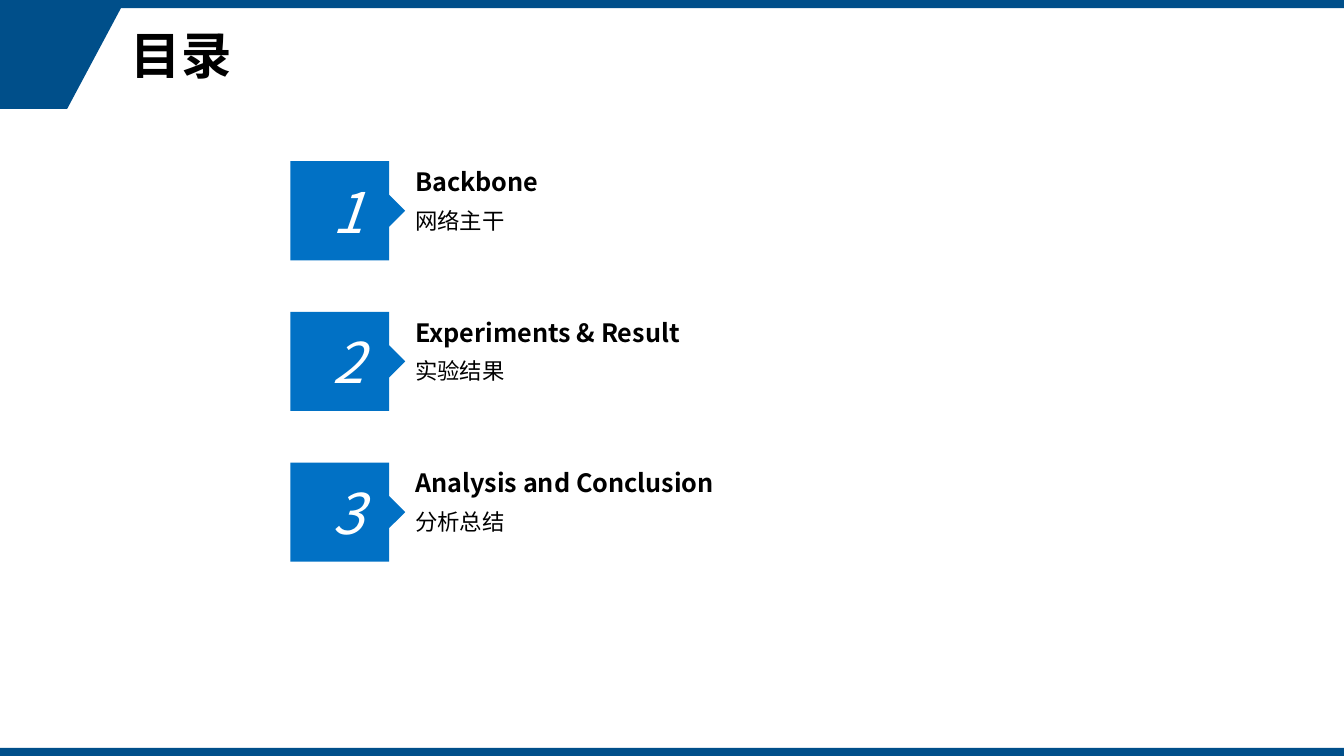
from dataclasses import dataclass

from lxml.etree import SubElement
from pptx import Presentation
from pptx.dml.color import RGBColor
from pptx.enum.shapes import MSO_SHAPE
from pptx.enum.text import MSO_ANCHOR, PP_ALIGN
from pptx.oxml.ns import qn
from pptx.util import Inches, Pt

COLORS = {"band": "004F8A", "marker": "0171C5", "ink": "000000", "paper": "FFFFFF"}
FONT = "Noto Sans CJK SC"

# Text formats
TITLE = {"size": Pt(36), "bold": True}
HEADING = {"size": Pt(18), "bold": True}
DETAIL = {"size": Pt(16)}
NUMBER = {"size": Pt(40), "italic": True}

# Layout in percent of the slide's width and height
BAND_HEIGHT = 1.07
MARKER_LEFT, MARKER_TOP = 21.6, 21.33
MARKER_WIDTH, MARKER_HEIGHT = 7.35, 13.1
ARROW_WIDTH, ARROW_HALF = 1.2, 2.13
TOPIC_PITCH = 19.93
TEXT_LEFT, TEXT_WIDTH = 30.15, 32.4
HEADING_HEIGHT, DETAIL_HEIGHT = 5.38, 4.93


@dataclass
class Topic:
    heading: str
    detail: str


TOPICS = [
    Topic("Backbone", "网络主干"),
    Topic("Experiments & Result", "实验结果"),
    Topic("Analysis and Conclusion", "分析总结"),
]

presentation = Presentation()
presentation.slide_width, presentation.slide_height = Inches(13.33), Inches(7.5)
slide = presentation.slides.add_slide(presentation.slide_layouts[6])


def across(percent: float) -> int:
    return round(presentation.slide_width * percent / 100)


def down(percent: float) -> int:
    return round(presentation.slide_height * percent / 100)


def paint(shape, color: str) -> None:
    shape.shadow.inherit = False
    shape.fill.solid()
    shape.fill.fore_color.rgb = RGBColor.from_string(COLORS[color])
    shape.line.fill.background()


def add_outline(points: list[tuple[float, float]], color: str):
    corners = [(across(x), down(y)) for x, y in points]
    builder = slide.shapes.build_freeform(*corners[0])
    builder.add_line_segments(corners[1:], close=True)
    shape = builder.convert_to_shape()
    paint(shape, color)
    return shape


def write(shape, text: str, style: dict, color: str = "ink",
          anchor=MSO_ANCHOR.TOP, alignment=PP_ALIGN.LEFT):
    frame = shape.text_frame
    frame.word_wrap = True
    frame.vertical_anchor = anchor
    paragraph = frame.paragraphs[0]
    paragraph.alignment = alignment
    run = paragraph.add_run()
    run.text = text
    for name, value in {"name": FONT, **style}.items():
        setattr(run.font, name, value)
    run.font.color.rgb = RGBColor.from_string(COLORS[color])
    # East Asian characters take their typeface from a separate element
    SubElement(run._r.get_or_add_rPr(), qn("a:ea"), typeface=FONT)
    return paragraph


def add_text(left: float, top: float, width: float, height: float,
             text: str, style: dict, anchor=MSO_ANCHOR.TOP):
    box = slide.shapes.add_textbox(across(left), down(top), across(width), down(height))
    return write(box, text, style, anchor=anchor)


def add_topic(number: int, topic: Topic) -> None:
    top = MARKER_TOP + (number - 1) * TOPIC_PITCH
    middle, bottom = top + MARKER_HEIGHT / 2, top + MARKER_HEIGHT
    right = MARKER_LEFT + MARKER_WIDTH
    marker = add_outline([
        (MARKER_LEFT, top), (right, top), (right, middle - ARROW_HALF),
        (right + ARROW_WIDTH, middle), (right, middle + ARROW_HALF),
        (right, bottom), (MARKER_LEFT, bottom),
    ], "marker")
    write(marker, str(number), NUMBER, "paper", MSO_ANCHOR.MIDDLE, PP_ALIGN.CENTER)
    add_text(TEXT_LEFT, top, TEXT_WIDTH, HEADING_HEIGHT, topic.heading, HEADING)
    add_text(TEXT_LEFT, top + HEADING_HEIGHT, TEXT_WIDTH, DETAIL_HEIGHT, topic.detail, DETAIL)


# Bands and corner
for band_top in (0, 100 - BAND_HEIGHT):
    band = slide.shapes.add_shape(
        MSO_SHAPE.RECTANGLE, 0, down(band_top), across(100), down(BAND_HEIGHT))
    paint(band, "band")
add_outline([(0, BAND_HEIGHT), (9, BAND_HEIGHT), (5, 14.4), (0, 14.4)], "band")

# Title
title = add_text(9, BAND_HEIGHT, 84.17, 13.33, "目录", TITLE, MSO_ANCHOR.MIDDLE)
title.line_spacing = 0.9

# Contents
for number, topic in enumerate(TOPICS, start=1):
    add_topic(number, topic)

presentation.save("out.pptx")
